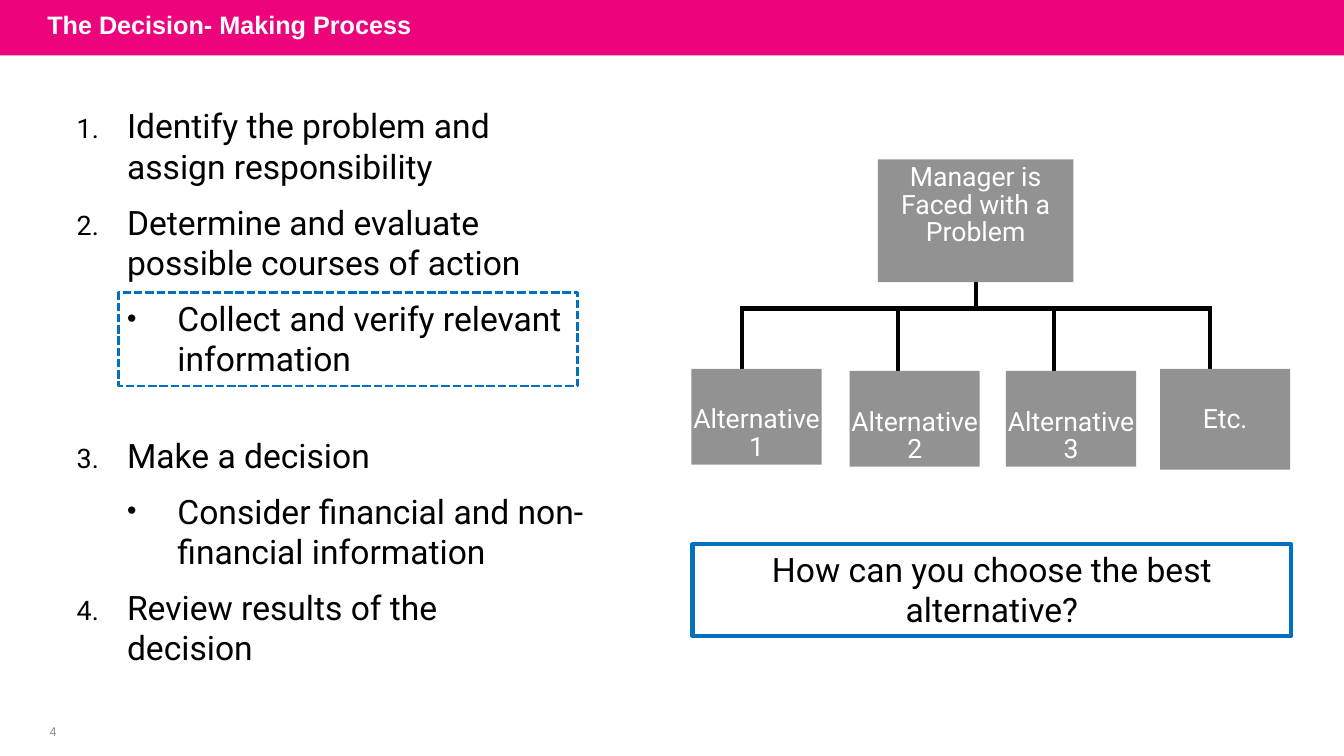
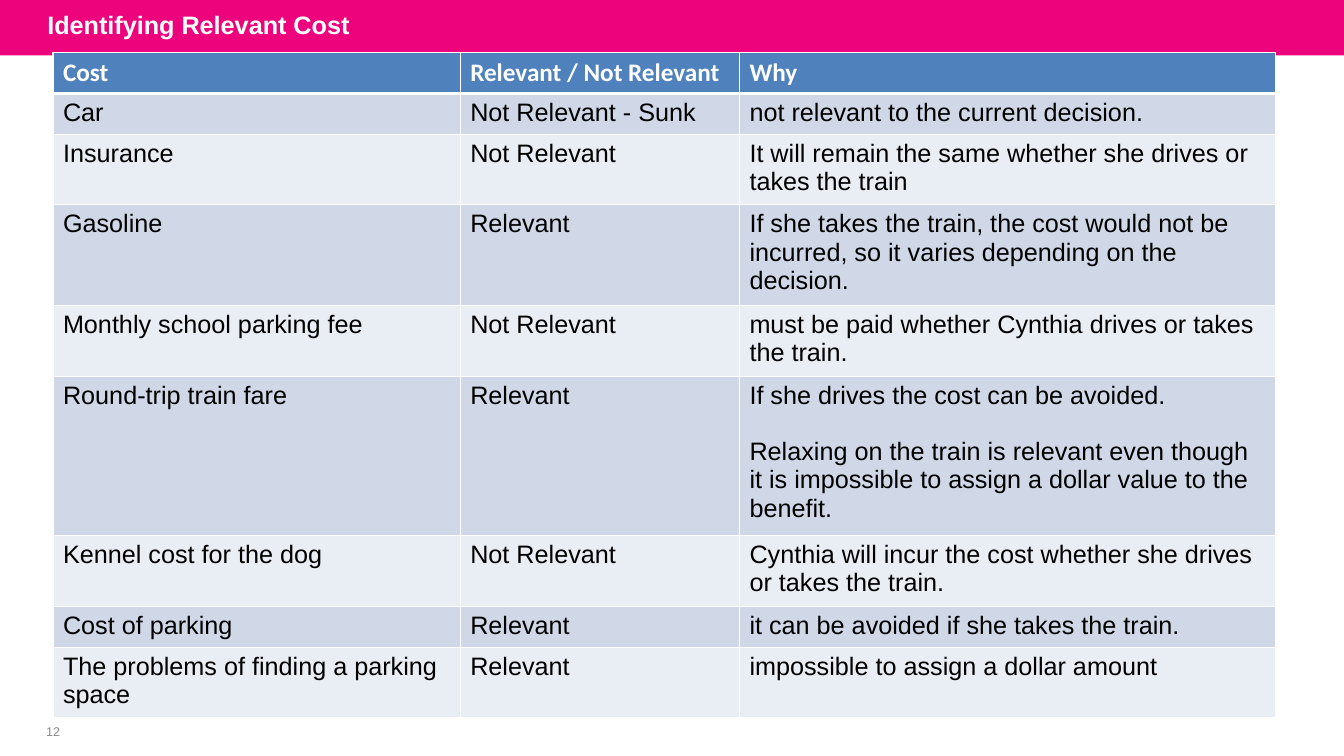
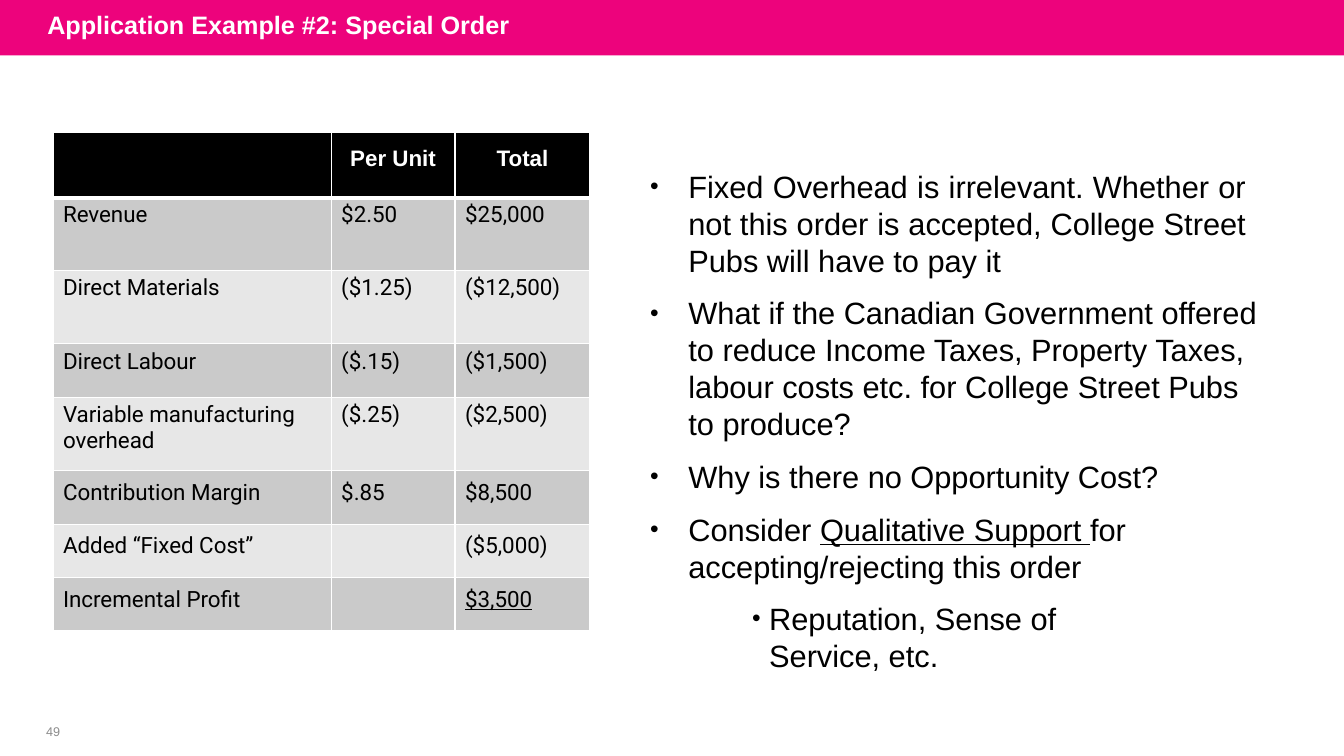
from dataclasses import dataclass
from typing import Optional

from lxml import etree
from pptx import Presentation
from pptx.dml.color import RGBColor
from pptx.enum.dml import MSO_LINE
from pptx.enum.shapes import MSO_CONNECTOR, MSO_SHAPE
from pptx.enum.text import MSO_ANCHOR, PP_ALIGN
from pptx.oxml.ns import qn
from pptx.util import Inches, Pt

RECTANGLE = MSO_SHAPE.RECTANGLE
STRAIGHT = MSO_CONNECTOR.STRAIGHT
DASHED = MSO_LINE.SQUARE_DOT
LEFT, CENTER, JUSTIFY = PP_ALIGN.LEFT, PP_ALIGN.CENTER, PP_ALIGN.JUSTIFY
TOP, MIDDLE = MSO_ANCHOR.TOP, MSO_ANCHOR.MIDDLE

SLIDE_WIDTH, SLIDE_HEIGHT = Inches(13.33), Inches(7.5)
COLORS = {
    "band": "ED037C",
    "white": "FFFFFF",
    "black": "000000",
    "page_number": "8C8C8C",
    "outline": "0070C0",
    "node": "929292",
    "blue_head": "4F81BD",
    "blue_dark": "D0D8E8",
    "blue_light": "E9EDF4",
    "gray_dark": "CACACA",
    "gray_light": "E7E7E7",
}
CELL_SIDES = ("lnL", "lnR", "lnT", "lnB")


@dataclass(frozen=True)
class Area:
    """A rectangle in percent of the slide's width and height."""
    left: float
    top: float
    width: float
    height: float

    def box(self) -> tuple[int, int, int, int]:
        return across(self.left), down(self.top), across(self.width), down(self.height)


@dataclass(frozen=True)
class Style:
    font: str
    size: float
    color: str = "black"
    bold: bool = False
    align: PP_ALIGN = LEFT


@dataclass(frozen=True)
class Item:
    """A list entry; its indents and spacing are in points."""
    text: str
    indent: float
    hang: float
    before: float = 11.2
    right: float = 0
    level: int = 0
    numbered: bool = False
    underlined: str = ""
    align: PP_ALIGN = LEFT


@dataclass(frozen=True)
class Node:
    label: str
    area: Area
    top_inset: float = 27
    line_spacing: float | Pt = Pt(19.7)


@dataclass(frozen=True)
class TableLook:
    head_fill: str
    row_fills: tuple[str, str]
    head: Style
    body: Style


TITLE = Style("Arial", 18, "white", bold=True)
PAGE_NUMBER = Style("Arial", 9, "page_number", align=CENTER)
NODE_TEXT = Style("Roboto", 19, "white", align=CENTER)
STEP_TEXT = Style("Roboto", 24)
QUESTION_TEXT = Style("Roboto", 24, align=CENTER)
NOTE_TEXT = Style("Arial", 22)

BAND_AREA = Area(0, 0, 100, 7.33)
TITLE_AREA = Area(2.78, -0.4, 78.75, 7.33)
PAGE_NUMBER_AREA = Area(2, 95.2, 3.9, 3.2)
TABLE_LEFT = 3.94

COST_LOOK = TableLook("blue_head", ("blue_dark", "blue_light"),
                      Style("Calibri", 18, "white", bold=True), Style("Arial", 18))
ORDER_LOOK = TableLook("black", ("gray_dark", "gray_light"),
                       Style("Arial", 16, "white", bold=True, align=CENTER),
                       Style("Roboto", 16))

STEPS = [
    Item("Identify the problem and assign responsibility", 36.7, 36, 0.9, right=36, numbered=True),
    Item("Determine and evaluate possible courses of action", 36.7, 36, numbered=True),
    Item("Collect and verify relevant information", 72.7, 36, level=1),
    Item("Make a decision", 36.7, 36, 40, numbered=True),
    Item("Consider financial and non- financial information", 72.7, 36, level=1),
    Item("Review results of the decision", 36.7, 36, right=36, numbered=True),
]
MANAGER = Node("Manager is Faced with a Problem", Area(65.32, 21.07, 14.55, 16.27), 4, 0.86)
ALTERNATIVES = [
    Node("Alternative 1", Area(51.45, 48.8, 9.68, 12.67)),
    Node("Alternative 2", Area(63.22, 49.07, 9.68, 12.67)),
    Node("Alternative 3", Area(74.85, 49.07, 9.68, 12.67)),
    Node("Etc.", Area(86.32, 48.8, 9.68, 13.33)),
]
BRANCH_LEFT, BRANCH_STEP = 55.2, 11.62
BUS_LEVEL = 40.8

COST_ROWS = [
    ("Cost", "Relevant / Not Relevant", "Why"),
    ("Car", "Not Relevant - Sunk", "not relevant to the current decision."),
    ("Insurance", "Not Relevant",
     "It will remain the same whether she drives or takes the train"),
    ("Gasoline", "Relevant",
     "If she takes the train, the cost would not be incurred, "
     "so it varies depending on the decision."),
    ("Monthly school parking fee", "Not Relevant",
     "must be paid whether Cynthia drives or takes the train."),
    ("Round-trip train fare", "Relevant",
     "If she drives the cost can be avoided.\n"
     "Relaxing on the train is relevant even though it is impossible "
     "to assign a dollar value to the benefit."),
    ("Kennel cost for the dog", "Not Relevant",
     "Cynthia will incur the cost whether she drives or takes the train."),
    ("Cost of parking", "Relevant", "it can be avoided if she takes the train."),
    ("The problems of finding a parking space", "Relevant",
     "impossible to assign a dollar amount"),
]
ORDER_ROWS = [
    ("", "Per Unit", "Total"),
    ("Revenue", "$2.50", "$25,000"),
    ("Direct Materials", "($1.25)", "($12,500)"),
    ("Direct Labour", "($.15)", "($1,500)"),
    ("Variable manufacturing overhead", "($.25)", "($2,500)"),
    ("Contribution Margin", "$.85", "$8,500"),
    ("Added “Fixed Cost”", "", "($5,000)"),
    ("Incremental Profit", "", "$3,500"),
]
ORDER_HEIGHTS = [8.6, 9.6, 9.73, 7.07, 9.73, 7.07, 7.07, 7.07]
ORDER_INSETS = [10, 3, 3.6, 3.6, 3.6, 6.5, 6.5, 6.5]
NOTES = [
    Item("Fixed Overhead is irrelevant. Whether or not this order is accepted, "
         "College Street Pubs will have to pay it", 28, 27.4, 0.9, right=10, align=JUSTIFY),
    Item("What if the Canadian Government offered to reduce Income Taxes, Property Taxes, "
         "labour costs etc. for College Street Pubs to produce?", 28, 27.4),
    Item("Why is there no Opportunity Cost?", 28, 27.4),
    Item("Consider Qualitative Support for accepting/rejecting this order", 28, 27.4,
         underlined="Qualitative Support "),
    Item("Reputation, Sense of Service, etc.", 85.7, 12.2, right=86, level=1),
]


def across(percent: float) -> int:
    return round(SLIDE_WIDTH * percent / 100)


def down(percent: float) -> int:
    return round(SLIDE_HEIGHT * percent / 100)


def rgb(name: str) -> RGBColor:
    return RGBColor.from_string(COLORS[name])


def format_para(para, style: Style) -> None:
    para.alignment = style.align
    for span in para.runs:
        span.font.name = style.font
        span.font.size = Pt(style.size)
        span.font.bold = style.bold
        span.font.color.rgb = rgb(style.color)


def prepare_frame(frame, anchor: MSO_ANCHOR, top: float = 0, side: float = 0) -> None:
    frame.word_wrap = True
    frame.vertical_anchor = anchor
    frame.margin_top, frame.margin_bottom = Pt(top), 0
    frame.margin_left = frame.margin_right = Pt(side)


def add_label(page, area: Area, text: str, style: Style, side: float = 0) -> None:
    frame = page.shapes.add_textbox(*area.box()).text_frame
    prepare_frame(frame, MIDDLE, side=side)
    frame.text = text
    format_para(frame.paragraphs[0], style)


def add_rectangle(page, area: Area, fill: Optional[str] = None,
                  outline: Optional[str] = None, weight: float = 0):
    box = page.shapes.add_shape(RECTANGLE, *area.box())
    box.shadow.inherit = False
    if fill:
        box.fill.solid()
        box.fill.fore_color.rgb = rgb(fill)
    else:
        box.fill.background()
    if outline:
        box.line.color.rgb = rgb(outline)
        box.line.width = Pt(weight)
    else:
        box.line.fill.background()
    return box


def fill_box(box, text: str, style: Style, top: float, line_spacing=1.0) -> None:
    prepare_frame(box.text_frame, TOP, top)
    box.text_frame.text = text
    para = box.text_frame.paragraphs[0]
    para.line_spacing = line_spacing
    format_para(para, style)


def add_line(page, left: float, top: float, right: float, bottom: float) -> None:
    line = page.shapes.add_connector(STRAIGHT, across(left), down(top),
                                     across(right), down(bottom))
    line.line.color.rgb = rgb("black")
    line.line.width = Pt(3)
    properties = line.element.spPr
    properties.find(qn("a:ln")).set("cap", "sq")
    etree.SubElement(properties, qn("a:effectLst"))


def add_node(page, node: Node) -> None:
    box = add_rectangle(page, node.area, "node")
    fill_box(box, node.label, NODE_TEXT, node.top_inset, node.line_spacing)


def set_bullet(para, item: Item) -> None:
    properties = para._p.get_or_add_pPr()
    properties.set("marL", str(Pt(item.indent)))
    properties.set("marR", str(Pt(item.right)))
    properties.set("indent", str(-Pt(item.hang)))
    etree.SubElement(properties, qn("a:buSzPct"), val="80000")
    etree.SubElement(properties, qn("a:buFont"), typeface="Roboto" if item.numbered else "Arial")
    if item.numbered:
        etree.SubElement(properties, qn("a:buAutoNum"), type="arabicPeriod")
    else:
        etree.SubElement(properties, qn("a:buChar"), char="•")


def add_list(page, area: Area, items: list[Item], style: Style) -> None:
    frame = page.shapes.add_textbox(*area.box()).text_frame
    prepare_frame(frame, TOP, 1)
    frame.text = "\n".join(item.text for item in items)
    for para, item in zip(frame.paragraphs, items):
        if item.underlined:
            before, marked, after = item.text.partition(item.underlined)
            para.text = before
            for part in (marked, after):
                span = para.add_run()
                span.text = part
                span.font.underline = part == marked
        format_para(para, style)
        para.alignment = item.align
        para.level = item.level
        para.line_spacing = Pt(style.size * 1.2)
        para.space_before = Pt(item.before)
        set_bullet(para, item)


def set_borders(cell, row: int) -> None:
    """White hairlines, with a heavy rule between head and body."""
    properties = cell._tc.get_or_add_tcPr()
    heavy = {0: "lnB", 1: "lnT"}.get(row)
    for position, side in enumerate(CELL_SIDES):
        border = etree.Element(qn(f"a:{side}"), w=str(Pt(3 if side == heavy else 1)))
        fill = etree.SubElement(border, qn("a:solidFill"))
        etree.SubElement(fill, qn("a:srgbClr"), val=COLORS["white"])
        properties.insert(position, border)


def add_grid(page, top: float, columns: list[float], heights: list[float],
             rows: list[tuple[str, ...]], look: TableLook, insets: list[float]):
    area = Area(TABLE_LEFT, top, sum(columns), sum(heights))
    table = page.shapes.add_table(len(rows), len(columns), *area.box()).table
    for column, width in zip(table.columns, columns):
        column.width = across(width)
    for row, (texts, height, inset) in enumerate(zip(rows, heights, insets)):
        table.rows[row].height = down(height)
        style = look.body if row else look.head
        fill = look.row_fills[(row - 1) % 2] if row else look.head_fill
        for column, text in enumerate(texts):
            cell = table.cell(row, column)
            cell.fill.solid()
            cell.fill.fore_color.rgb = rgb(fill)
            cell.margin_left = cell.margin_right = Pt(7.2)
            cell.margin_top, cell.margin_bottom = Pt(inset), Pt(3.6)
            cell.text_frame.text = text
            for index, para in enumerate(cell.text_frame.paragraphs):
                format_para(para, style)
                if index:
                    para.space_before = Pt(20.2)
            set_borders(cell, row)
    return table


def add_page(deck, title: str, number: int):
    page = deck.slides.add_slide(deck.slide_layouts[6])
    add_rectangle(page, BAND_AREA, "band")
    add_label(page, PAGE_NUMBER_AREA, str(number), PAGE_NUMBER)
    add_label(page, TITLE_AREA, title, TITLE, side=7.2)
    return page


def build_process(deck) -> None:
    page = add_page(deck, "The Decision- Making Process", 4)
    question = add_rectangle(page, Area(51.53, 72, 44.55, 12.13), outline="outline", weight=3)
    fill_box(question, "How can you choose the best alternative?", QUESTION_TEXT, 3)
    branches = [BRANCH_LEFT + BRANCH_STEP * index for index in range(len(ALTERNATIVES))]
    trunk = (branches[0] + branches[-1]) / 2
    add_line(page, trunk, MANAGER.area.top + MANAGER.area.height, trunk, BUS_LEVEL)
    add_line(page, branches[0], BUS_LEVEL, branches[-1], BUS_LEVEL)
    for branch, node in zip(branches, ALTERNATIVES):
        add_line(page, branch, BUS_LEVEL, branch, node.area.top)
    for node in (MANAGER, *ALTERNATIVES):
        add_node(page, node)
    add_list(page, Area(5.63, 13.73, 37.88, 74.67), STEPS, STEP_TEXT)
    highlight = add_rectangle(page, Area(8.85, 38.67, 34.13, 12.4), outline="outline", weight=2)
    highlight.line.dash_style = DASHED


def build_costs(deck) -> None:
    page = add_page(deck, "Identifying Relevant Cost", 12)
    count = len(COST_ROWS)
    add_grid(page, 6.97, [30.3, 20.78, 39.9], [5.4] * count, COST_ROWS, COST_LOOK, [3.6] * count)


def build_order(deck) -> None:
    page = add_page(deck, "Application Example #2: Special Order", 49)
    add_list(page, Area(48.3, 22, 45.45, 62.53), NOTES, NOTE_TEXT)
    table = add_grid(page, 17.55, [20.7, 9.22, 10.05], ORDER_HEIGHTS, ORDER_ROWS,
                     ORDER_LOOK, ORDER_INSETS)
    profit = table.cell(len(ORDER_ROWS) - 1, 2).text_frame.paragraphs[0]
    profit.runs[0].font.underline = True


def main() -> None:
    deck = Presentation()
    deck.slide_width, deck.slide_height = SLIDE_WIDTH, SLIDE_HEIGHT
    build_process(deck)
    build_costs(deck)
    build_order(deck)
    deck.save("out.pptx")


if __name__ == "__main__":
    main()
